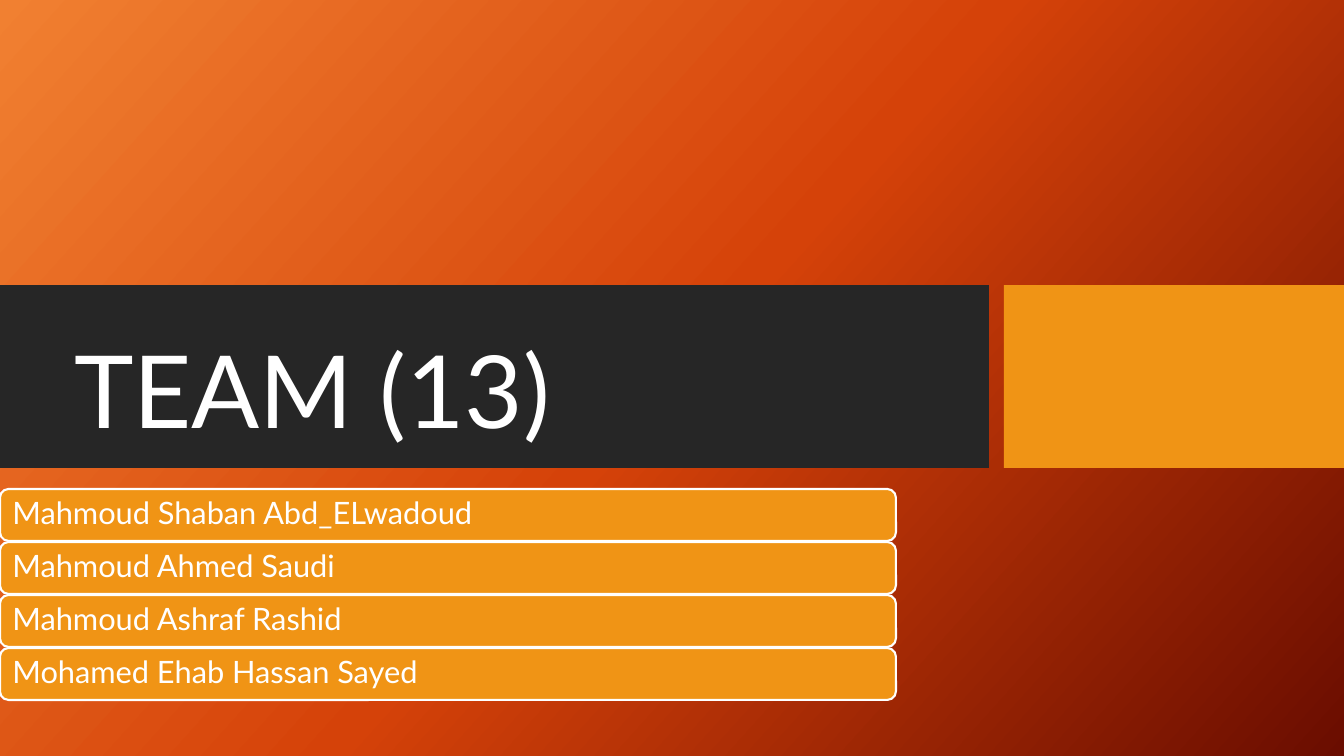
"""Build the team title slide with its list of members."""
from copy import deepcopy

from pptx import Presentation, util as u
from pptx.dml.color import RGBColor
from pptx.enum import shapes, text
from pptx.oxml.ns import qn

TITLE = "TEAM (13)"
MEMBERS = [
    "Mahmoud Shaban Abd_ELwadoud",
    "Mahmoud Ahmed Saudi",
    "Mahmoud Ashraf Rashid",
    "Mohamed Ehab Hassan Sayed",
]
COLORS = {"dark": "262626", "accent": "F09415", "white": "FFFFFF"}
GRADIENT = [(0, "F18031"), (0.5, "D54209"), (1, "6A0D00")]
GRADIENT_ANGLE = 42
FONT = "Lato"

WIDTH, HEIGHT = 1344, 756
BAND_TOP, BAND_HEIGHT = 285, 183
BANDS = [(0, 989, "dark"), (1004, WIDTH - 1004, "accent")]
TITLE_BOX = (64, 304, 898, 151)
ROW_TOP, ROW_WIDTH, ROW_HEIGHT, ROW_PITCH = 489, 896, 52, 53
ROW_INSET = 12


def px(pixels):
    return u.Emu(round(pixels * 914400 / 100.8))


def rgb(name):
    return RGBColor.from_string(COLORS[name])


def add_block(slide, kind, box, color):
    shape = slide.shapes.add_shape(kind, *map(px, box))
    shape.shadow.inherit = False
    shape.fill.solid()
    shape.fill.fore_color.rgb = rgb(color)
    shape.line.fill.background()
    return shape


def write(shape, content, size, anchor):
    frame = shape.text_frame
    frame.text = content
    frame.word_wrap = True
    frame.auto_size = text.MSO_AUTO_SIZE.NONE
    frame.vertical_anchor = anchor
    paragraph = frame.paragraphs[0]
    paragraph.alignment = text.PP_ALIGN.LEFT
    paragraph.line_spacing = 0.9
    font = paragraph.runs[0].font
    font.name, font.size = FONT, u.Pt(size)
    font.color.rgb = rgb("white")


def paint_background(slide):
    fill = slide.background.fill
    fill.gradient()
    fill.gradient_angle = 360 - GRADIENT_ANGLE
    stop_list = next(slide.element.iter(qn("a:gsLst")))
    stop_list.append(deepcopy(stop_list[-1]))
    for stop, (position, color) in zip(fill.gradient_stops, GRADIENT):
        stop.position = position
        stop.color.rgb = RGBColor.from_string(color)


presentation = Presentation()
presentation.slide_width, presentation.slide_height = px(WIDTH), px(HEIGHT)
slide = presentation.slides.add_slide(presentation.slide_layouts[5])
paint_background(slide)

for left, width, color in BANDS:
    box = (left, BAND_TOP, width, BAND_HEIGHT)
    add_block(slide, shapes.MSO_SHAPE.RECTANGLE, box, color)

title = slide.shapes.title
title.left, title.top, title.width, title.height = map(px, TITLE_BOX)
write(title, TITLE, 72, text.MSO_ANCHOR.BOTTOM)
slide.shapes[-1].element.addnext(title.element)

for index, member in enumerate(MEMBERS):
    box = (0, ROW_TOP + index * ROW_PITCH, ROW_WIDTH, ROW_HEIGHT)
    row = add_block(slide, shapes.MSO_SHAPE.ROUNDED_RECTANGLE, box, "accent")
    row.line.color.rgb = rgb("white")
    row.line.width = u.Pt(1.5)
    write(row, member, 22, text.MSO_ANCHOR.MIDDLE)
    row.text_frame.margin_left = px(ROW_INSET - 2)

presentation.save("out.pptx")
